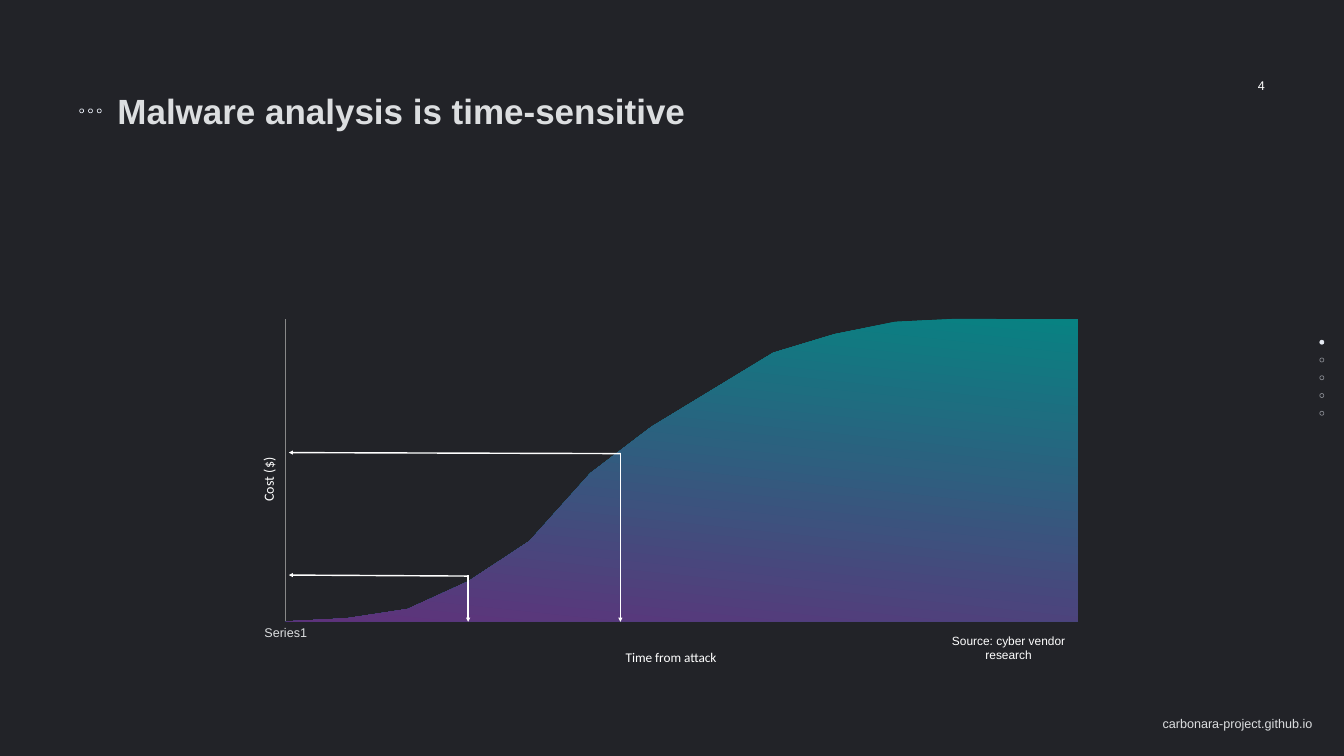
from dataclasses import dataclass

from pptx import Presentation
from pptx.chart.data import CategoryChartData
from pptx.dml.color import RGBColor
from pptx.enum.chart import XL_CHART_TYPE, XL_TICK_LABEL_POSITION, XL_TICK_MARK
from pptx.enum.shapes import MSO_CONNECTOR, MSO_SHAPE
from pptx.enum.text import MSO_ANCHOR, MSO_AUTO_SIZE, PP_ALIGN
from pptx.oxml import parse_xml
from pptx.oxml.ns import nsdecls, qn
from pptx.util import Inches, Pt


@dataclass(frozen=True)
class Theme:
    background: str = "222328"
    white: str = "FFFFFF"
    text: str = "DCDEE0"
    dot: str = "E6EAF3"
    axis: str = "888888"
    area_top: str = "088282"
    area_bottom: str = "5F327B"
    font: str = "Arial"
    axis_font: str = "Calibri"
    title_size: int = 50
    small_size: int = 18
    source_size: int = 17
    time_size: int = 19
    cost_size: int = 20


class SlideBuilder:
    """Draws styled elements on the current slide."""

    def __init__(self, page, theme):
        self.page = page
        self.theme = theme
        page.background.fill.solid()
        page.background.fill.fore_color.rgb = RGBColor.from_string(theme.background)

    def style_font(self, font, size, color, name=None, bold=False):
        font.name = name or self.theme.font
        font.size = Pt(size)
        font.bold = bold
        font.color.rgb = RGBColor.from_string(color)

    def style_line(self, line, color, width):
        line.color.rgb = RGBColor.from_string(color)
        line.width = Pt(width)

    def text(self, words, area, size, color, align=PP_ALIGN.LEFT,
             anchor=MSO_ANCHOR.MIDDLE, bold=False):
        box = self.page.shapes.add_textbox(*map(Inches, area))
        frame = box.text_frame
        frame.word_wrap = False
        frame.auto_size = MSO_AUTO_SIZE.SHAPE_TO_FIT_TEXT
        frame.vertical_anchor = anchor
        frame.margin_left = frame.margin_right = Inches(0.06)
        frame.margin_top = frame.margin_bottom = Inches(0.06)
        para = frame.paragraphs[0]
        para.text = words
        para.alignment = align
        self.style_font(para.font, size, color, bold=bold)

    def dot(self, left, top, filled=False, opacity=100):
        shape = self.page.shapes.add_shape(
            MSO_SHAPE.OVAL, *map(Inches, (left, top, 0.08, 0.08)))
        shape.shadow.inherit = False
        if filled:
            shape.fill.solid()
            shape.fill.fore_color.rgb = RGBColor.from_string(self.theme.dot)
        else:
            shape.fill.background()
        self.style_line(shape.line, self.theme.dot, 1)
        if opacity < 100:
            color = shape.line.fill._xPr.find(".//" + qn("a:srgbClr"))
            color.append(parse_xml(f'<a:alpha {nsdecls("a")} val="{opacity * 1000}"/>'))

    def arrow(self, start, end):
        connector = self.page.shapes.add_connector(
            MSO_CONNECTOR.STRAIGHT, *map(Inches, (*start, *end)))
        self.style_line(connector.line, self.theme.white, 2)
        connector.line._get_or_add_ln().append(
            parse_xml(f'<a:tailEnd {nsdecls("a")} type="triangle"/>'))
        connector._element.spPr.append(parse_xml(f'<a:effectLst {nsdecls("a")}/>'))

    def axis(self, axis, title, size, rotation, labels):
        axis.has_major_gridlines = False
        axis.major_tick_mark = axis.minor_tick_mark = XL_TICK_MARK.NONE
        axis.tick_label_position = labels
        self.style_font(axis.tick_labels.font, self.theme.small_size, self.theme.text)
        self.style_line(axis.format.line, self.theme.axis, 1)
        frame = axis.axis_title.text_frame
        frame.text = title
        self.style_font(frame.paragraphs[0].font, size, self.theme.white,
                        self.theme.axis_font)
        properties = frame._txBody.find(qn("a:bodyPr"))
        properties.set("rot", str(rotation * 60000))
        properties.set("vert", "horz")

    def area_chart(self, area, plot, categories, values):
        data = CategoryChartData()
        data.categories = categories
        data.add_series("Series 1", values)
        chart = self.page.shapes.add_chart(
            XL_CHART_TYPE.AREA, *map(Inches, area), data).chart
        chart.has_legend = chart.has_title = False
        self.style_font(chart.font, 10, self.theme.text)
        chart.plots[0].vary_by_categories = False
        self.axis(chart.category_axis, "Time from attack", self.theme.time_size, 0,
                  XL_TICK_LABEL_POSITION.LOW)
        self.axis(chart.value_axis, "Cost ($)", self.theme.cost_size, -90,
                  XL_TICK_LABEL_POSITION.NONE)
        chart.value_axis.minimum_scale = 0
        chart.value_axis.maximum_scale = 98
        chart.value_axis.major_unit = 25
        chart.value_axis.tick_labels.number_format = '0"%"'
        chart.value_axis.tick_labels.number_format_is_linked = False
        crossing = chart.value_axis._element.find(qn("c:crossBetween"))
        if crossing is not None:
            crossing.set("val", "midCat")

        fill = chart.plots[0].series[0].format.fill
        fill.gradient()
        fill.gradient_angle = 264
        colors = (self.theme.area_top, self.theme.area_bottom)
        for position, (stop, color) in enumerate(zip(fill.gradient_stops, colors)):
            stop.position = position
            stop.color.rgb = RGBColor.from_string(color)

        plot_area = chart._chartSpace.find(".//" + qn("c:plotArea"))
        layout = plot_area.find(qn("c:layout"))
        if layout is not None:
            plot_area.remove(layout)
        modes = '<c:xMode val="edge"/><c:yMode val="edge"/>'
        sizes = "".join(f'<c:{key} val="{value}"/>' for key, value in zip("xywh", plot))
        plot_area.insert(0, parse_xml(
            f'<c:layout {nsdecls("c")}><c:manualLayout><c:layoutTarget val="inner"/>'
            f'{modes}{sizes}</c:manualLayout></c:layout>'))


def main():
    theme = Theme()
    deck = Presentation()
    deck.slide_width, deck.slide_height = Inches(26.67), Inches(15)
    slide = SlideBuilder(deck.slides.add_slide(deck.slide_layouts[6]), theme)

    slide.text("carbonara-project.github.io", (23.01, 14.14, 3.1, 0.42),
               theme.small_size, theme.text)
    for index in range(5):
        current = index == 0
        slide.dot(26.19, 6.75 + index * 0.3525, current, 100 if current else 51)

    slide.text("4", (24.9, 1.49, 0.26, 0.42), theme.small_size, theme.white,
               PP_ALIGN.RIGHT, MSO_ANCHOR.TOP)
    slide.text("Malware analysis is time-sensitive", (2.27, 1.73, 11.4, 0.94),
               theme.title_size, theme.text, bold=True)
    for index in range(3):
        slide.dot(1.58 + index * 0.175, 2.16)

    slide.text("Source: cyber vendor research", (18.42, 12.65, 3.19, 0.39),
               theme.source_size, theme.white, PP_ALIGN.CENTER)

    costs = (0, 1, 4, 13, 26, 48, 63, 75, 87, 93, 97, 98, 100, 98)
    slide.area_chart((5.08, 6.02, 16.39, 7.27), (0.036, 0.042, 0.959, 0.826),
                     ["Series1"] + [""] * (len(costs) - 1), costs)

    axis_left, axis_bottom = 5.73, 12.34
    for time, cost in ((12.31, 8.98), (9.29, 11.41)):
        slide.arrow((time, cost + 0.02), (axis_left, cost))
        slide.arrow((time, cost), (time, axis_bottom))

    deck.save("out.pptx")


if __name__ == "__main__":
    main()
